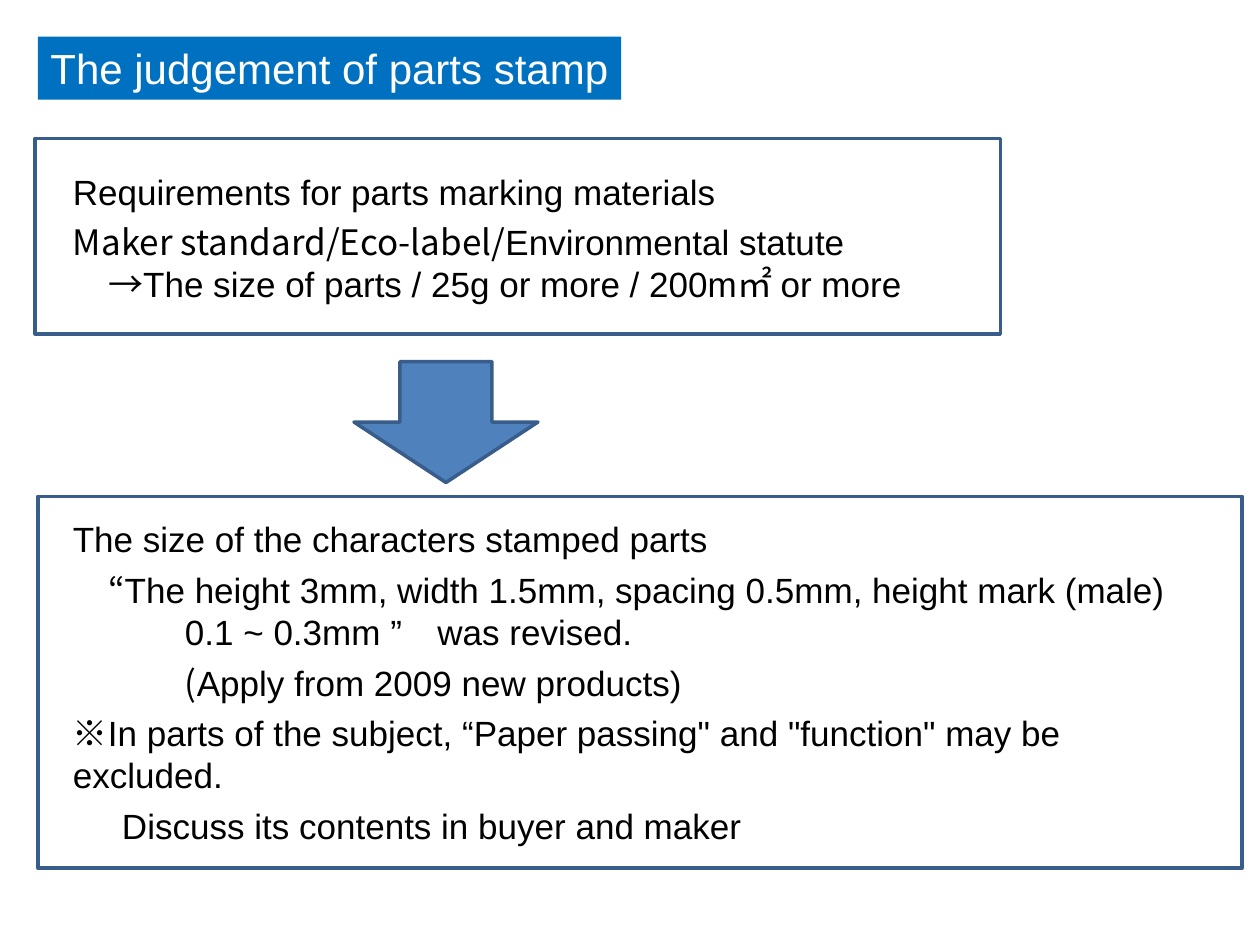
from pptx import Presentation
from pptx.dml.color import RGBColor
from pptx.enum.shapes import MSO_SHAPE as Shape
from pptx.enum.text import MSO_ANCHOR as Anchor, PP_ALIGN as Align
from pptx.util import Inches, Pt
from lxml.etree import SubElement
from pptx.oxml.ns import qn

THEME = {
    "latin": "Arial", "asian": "Noto Sans CJK JP",
    "title_size": 24, "body_size": 20, "line_width": 2,
    "banner": "0070C0", "arrow": "4F81BD", "outline": "385D8A",
    "title_text": "FFFFFF", "body_text": "000000",
}

TITLE = "The judgement of parts stamp"
TITLE_AREA = (0.3, 0.29, 4.63, 0.5)
ARROW_AREA = (2.81, 2.87, 1.46, 0.96)

REQUIREMENTS = [
    (0, 0, ("", "Requirements for parts marking materials")),
    (0, 5, ("Maker standard/Eco-label/", "Environmental statute")),
    (0.28, 0, ("→", "The size of parts / 25g or more / 200m㎡ or more")),
]
CHARACTERS = [
    (0, 0, ("", "The size of the characters stamped parts")),
    (0.28, 5, ("“", "The height 3mm, width 1.5mm, spacing 0.5mm, height mark (male)")),
    (0.89, 0, ("", "0.1 ~ 0.3mm ”　was revised.")),
    (0.89, 5, ("(", "Apply from 2009 new products)")),
    (0, 5, ("※", "In parts of the subject, “Paper passing\" and \"function\" may be excluded.")),
    (0.39, 5, ("", "Discuss its contents in buyer and maker")),
]
PANELS = [
    ((0.28, 1.1, 7.66, 1.55), (0.48, 1.3, 7.3, 1.15), REQUIREMENTS),
    ((0.3, 3.94, 9.56, 2.95), (0.48, 4.06, 9.2, 2.7), CHARACTERS),
]


def colour(name):
    return RGBColor.from_string(THEME[name])


def inches(area):
    return [Inches(value) for value in area]


def add_span(para, text, font="latin", size="body_size", ink="body_text"):
    span = para.add_run()
    span.text = text
    span.font.name = THEME[font]
    span.font.size = Pt(THEME[size])
    span.font.color.rgb = colour(ink)
    SubElement(span.font._element, qn("a:ea"), typeface=THEME["asian"])


def add_outlined(page, preset, area, fill=None):
    shape = page.shapes.add_shape(preset, *inches(area))
    shape.shadow.inherit = False
    if fill:
        shape.fill.solid()
        shape.fill.fore_color.rgb = colour(fill)
    else:
        shape.fill.background()
    shape.line.color.rgb = colour("outline")
    shape.line.width = Pt(THEME["line_width"])


def add_lines(page, area, lines):
    frame = page.shapes.add_textbox(*inches(area)).text_frame
    frame.word_wrap = True
    for number, (indent, before, spans) in enumerate(lines):
        para = frame.add_paragraph() if number else frame.paragraphs[0]
        para.space_before = Pt(before)
        para._p.get_or_add_pPr().set("marL", str(Inches(indent)))
        for font, text in zip(("asian", "latin"), spans):
            if text:
                add_span(para, text, font=font)


def add_title(page):
    box = page.shapes.title
    box.left, box.top, box.width, box.height = inches(TITLE_AREA)
    box.fill.solid()
    box.fill.fore_color.rgb = colour("banner")
    frame = box.text_frame
    frame.word_wrap = False
    frame.vertical_anchor = Anchor.MIDDLE
    para = frame.paragraphs[0]
    para.alignment = Align.LEFT
    add_span(para, TITLE, size="title_size", ink="title_text")


def main():
    deck = Presentation()
    deck.slide_width, deck.slide_height = Inches(10), Inches(7.5)
    page = deck.slides.add_slide(deck.slide_layouts[5])
    add_title(page)
    add_outlined(page, Shape.DOWN_ARROW, ARROW_AREA, fill="arrow")
    for border, area, lines in PANELS:
        add_lines(page, area, lines)
        add_outlined(page, Shape.RECTANGLE, border)
    deck.save("out.pptx")


if __name__ == "__main__":
    main()
